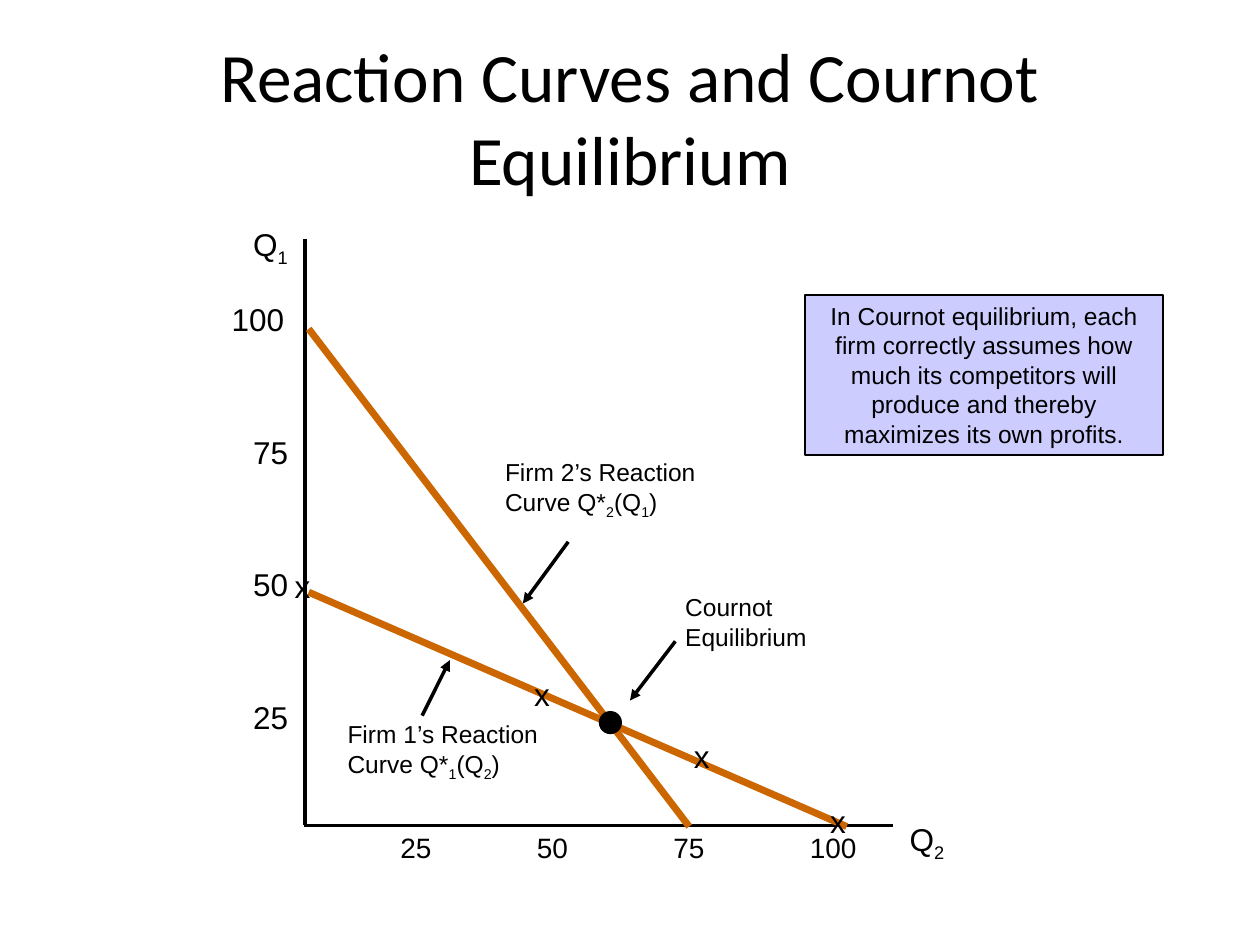
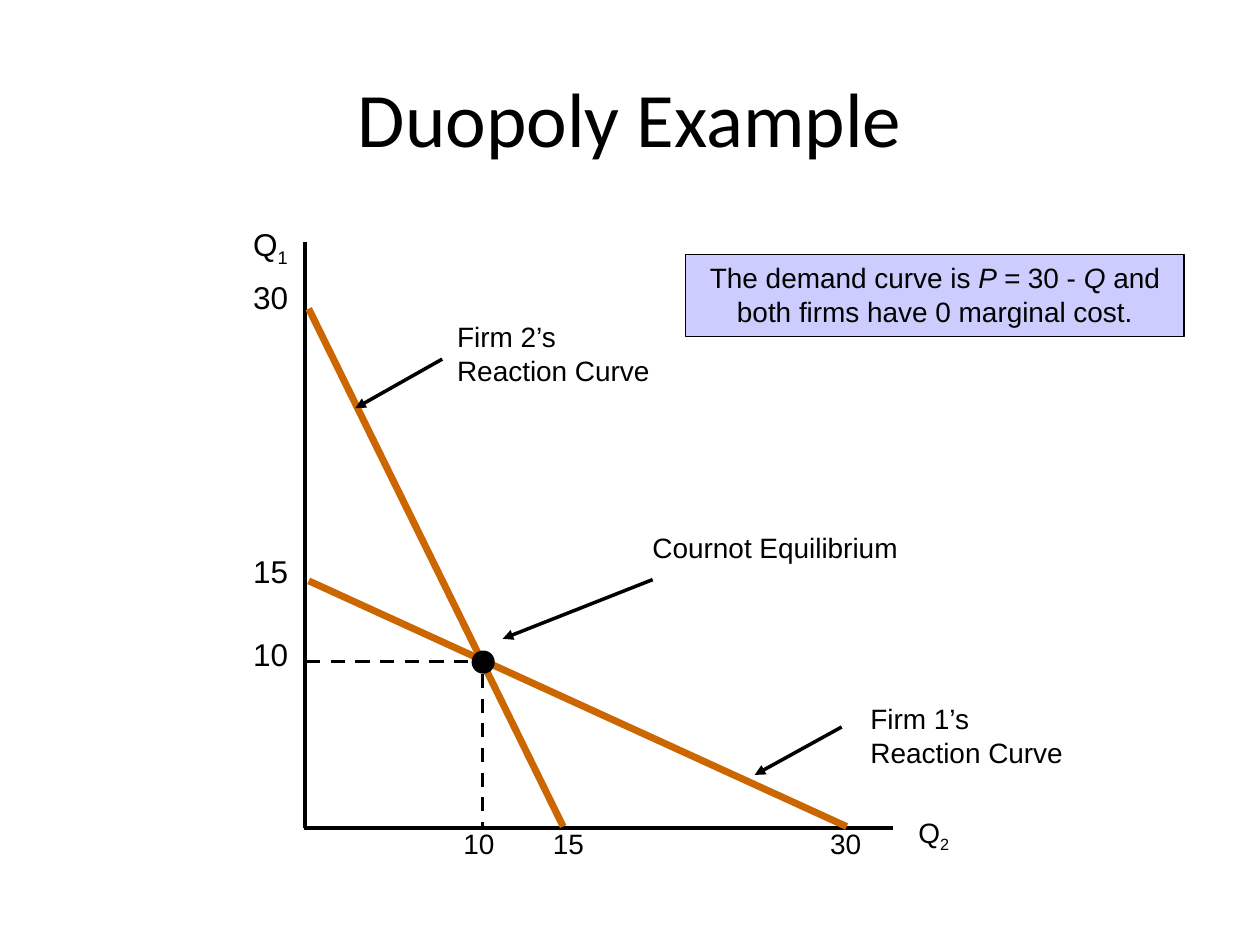
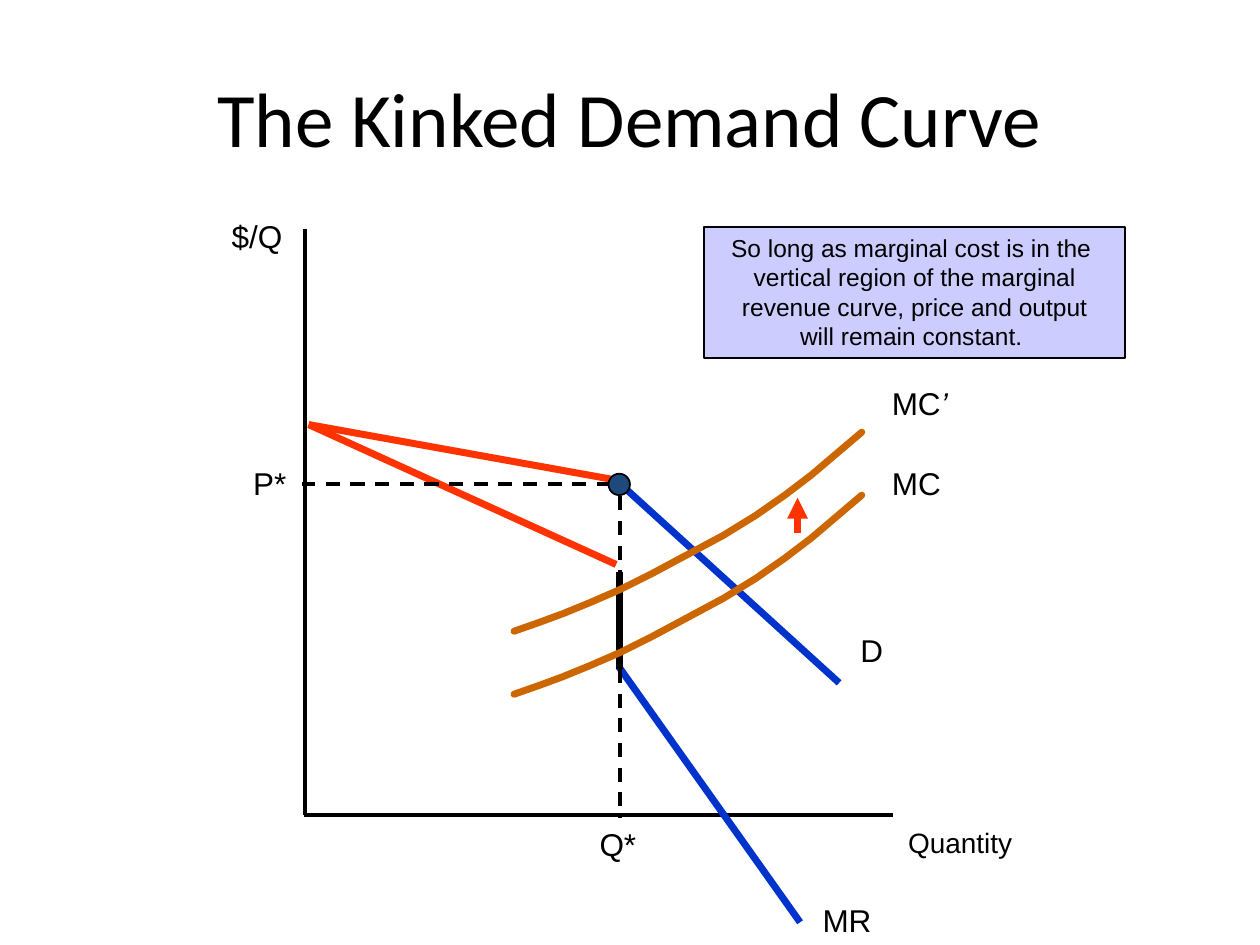
from pptx import Presentation
from pptx.dml.color import RGBColor
from pptx.enum.dml import MSO_LINE
from pptx.enum.shapes import MSO_CONNECTOR, MSO_SHAPE
from pptx.enum.text import MSO_ANCHOR, MSO_AUTO_SIZE, PP_ALIGN
from pptx.oxml.ns import qn
from pptx.util import Inches, Pt
from lxml.etree import SubElement

BLACK = RGBColor(0x00, 0x00, 0x00)
ORANGE = RGBColor(0xCC, 0x66, 0x00)
RED = RGBColor(0xFF, 0x33, 0x00)
BLUE = RGBColor(0x00, 0x33, 0xCC)
NAVY = RGBColor(0x1F, 0x49, 0x7D)
LAVENDER = RGBColor(0xCC, 0xCC, 0xFF)

AXIS_X = 2.42
AXIS_HEIGHT = 4.65
AXIS_END = 7.09
LABEL_LEFT = 1.91
CURVE_START = 2.45
DOT = 0.17

SUB_1, SUB_2 = ("1", "sub"), ("2", "sub")


def write(frame, lines, size, font="Arial", align=PP_ALIGN.LEFT, wrap=False):
    """Fill a text frame; a line is a string or a list of strings and (text, style) runs."""
    frame.word_wrap = wrap
    for i, line in enumerate(lines):
        paragraph = frame.paragraphs[0] if i == 0 else frame.add_paragraph()
        paragraph.alignment = align
        for part in [line] if isinstance(line, str) else line:
            text, style = (part, None) if isinstance(part, str) else part
            run = paragraph.add_run()
            run.text = text
            run.font.name = font
            run.font.size = Pt(size)
            run.font.color.rgb = BLACK
            if style == "italic":
                run.font.italic = True
            elif style == "sub":
                run.font._element.set("baseline", "-25000")


def draw_line(slide, start, end, color=BLACK, width=2, dashed=False, arrow=False):
    line = slide.shapes.add_connector(
        MSO_CONNECTOR.STRAIGHT, *(Inches(v) for v in (*start, *end)))
    line.line.color.rgb = color
    line.line.width = Pt(width)
    if dashed:
        line.line.dash_style = MSO_LINE.DASH
    if arrow:
        SubElement(line.line._get_or_add_ln(), qn("a:tailEnd"), type="triangle")
    SubElement(line._element.spPr, qn("a:effectLst"))


prs = Presentation()
prs.slide_width = Inches(10)
prs.slide_height = Inches(7.5)

# Titles and axes
slides = []
for title, title_size, axis_top in [
    ("Reaction Curves and Cournot Equilibrium", 39.6, 1.9),
    ("Duopoly Example", 44, 1.92),
    ("The Kinked Demand Curve", 44, 1.82),
]:
    slide = prs.slides.add_slide(prs.slide_layouts[6])
    heading = slide.shapes.add_textbox(Inches(0.5), Inches(0.3), Inches(9), Inches(1.25))
    heading.text_frame.vertical_anchor = MSO_ANCHOR.MIDDLE
    write(heading.text_frame, [title], title_size, "Calibri", PP_ALIGN.CENTER, wrap=True)
    base = axis_top + AXIS_HEIGHT
    draw_line(slide, (AXIS_X, axis_top), (AXIS_X, base))
    draw_line(slide, (AXIS_X - 0.01, base), (AXIS_END, base))
    slides.append(slide)
reaction, duopoly, kinked = slides

# Curves: slide, start, end, colour
for slide, start, end, color in [
    (reaction, (CURVE_START, 2.61), (5.47, 6.56), ORANGE),
    (reaction, (CURVE_START, 4.7), (6.72, 6.56), ORANGE),
    (duopoly, (CURVE_START, 2.45), (4.47, 6.56), ORANGE),
    (duopoly, (CURVE_START, 4.61), (6.72, 6.56), ORANGE),
    (kinked, (CURVE_START, 3.37), (4.89, 3.81), RED),
    (kinked, (4.89, 3.81), (6.66, 5.42), BLUE),
    (kinked, (CURVE_START, 3.37), (4.89, 4.48), RED),
    (kinked, (4.91, 5.29), (6.35, 7.32), BLUE),
    (kinked, (4.92, 4.54), (4.92, 5.31), BLACK),
]:
    draw_line(slide, start, end, color, width=4)

# Dashed guides to the equilibrium
for slide, start, end in [
    (duopoly, (2.43, 5.25), (3.74, 5.25)),
    (duopoly, (3.83, 5.35), (3.83, 6.57)),
    (kinked, (4.85, 3.84), (2.4, 3.84)),
    (kinked, (4.92, 3.94), (4.92, 6.49)),
]:
    draw_line(slide, start, end, dashed=True)

# Pointers from labels to curves
for slide, start, end in [
    (reaction, (4.51, 4.3), (4.15, 4.79)),
    (reaction, (3.35, 5.68), (3.57, 5.24)),
    (reaction, (5.36, 5.09), (5, 5.56)),
    (duopoly, (3.51, 2.85), (2.82, 3.24)),
    (duopoly, (6.68, 5.77), (5.99, 6.15)),
    (duopoly, (5.18, 4.6), (3.99, 5.07)),
]:
    draw_line(slide, start, end, arrow=True)

# Equilibrium points
for slide, left, top, color in [
    (reaction, 4.76, 5.65, BLACK),
    (duopoly, 3.75, 5.17, BLACK),
    (kinked, 4.83, 3.76, NAVY),
]:
    point = slide.shapes.add_shape(
        MSO_SHAPE.OVAL, Inches(left), Inches(top), Inches(DOT), Inches(DOT))
    point.shadow.inherit = False
    point.fill.solid()
    point.fill.fore_color.rgb = color
    point.line.color.rgb = BLACK
    point.line.width = Pt(1)

# Marginal cost before and after the shift
marginal_cost = [
    (4.08, 5.51), (4.28, 5.44), (4.47, 5.37), (4.69, 5.28), (4.92, 5.18),
    (5.04, 5.12), (5.18, 5.05), (5.46, 4.9), (5.74, 4.75), (6, 4.59),
    (6.23, 4.43), (6.44, 4.27), (6.84, 3.93),
]
for shift in (0, 0.5):
    points = [(Inches(x), Inches(y - shift)) for x, y in marginal_cost]
    builder = kinked.shapes.build_freeform(*points[0])
    builder.add_line_segments(points[1:], close=False)
    curve = builder.convert_to_shape()
    curve.shadow.inherit = False
    curve.fill.background()
    curve.line.color.rgb = ORANGE
    curve.line.width = Pt(4)
    curve.line._get_or_add_ln().set("cap", "rnd")
draw_line(kinked, (6.33, 4.23), (6.33, 3.95), RED, width=4, arrow=True)

# Labels: slide, left, top, width, size, lines
labels = [
    (reaction, 3.91, 3.58, 1.81, 14,
     ["Firm 2’s Reaction", ["Curve Q*", SUB_2, "(Q", SUB_1, ")"]]),
    (reaction, 2.66, 5.66, 1.81, 14,
     ["Firm 1’s Reaction", ["Curve Q*", SUB_1, "(Q", SUB_2, ")"]]),
    (reaction, 5.34, 4.65, 1.27, 14, ["Cournot", "Equilibrium"]),
    (reaction, LABEL_LEFT, 1.74, 0.48, 18, [["Q", SUB_1]]),
    (reaction, 7.12, 6.46, 0.48, 18, [["Q", SUB_2]]),
    (duopoly, LABEL_LEFT, 1.74, 0.48, 18, [["Q", SUB_1]]),
    (duopoly, 7.19, 6.42, 0.46, 16, [["Q", SUB_2]]),
    (duopoly, 3.53, 2.49, 1.83, 16, ["Firm 2’s", "Reaction Curve"]),
    (duopoly, 6.81, 5.52, 1.83, 16, ["Firm 1’s", "Reaction Curve"]),
    (duopoly, 5.08, 4.16, 2.35, 16, ["Cournot Equilibrium"]),
    (kinked, 1.74, 1.67, 0.6, 18, ["$/Q"]),
    (kinked, 7.11, 6.5, 1.1, 16, ["Quantity"]),
    (kinked, LABEL_LEFT, 3.63, 0.48, 18, ["P*"]),
    (kinked, 4.66, 6.5, 0.49, 18, ["Q*"]),
    (kinked, 6.73, 4.96, 0.38, 18, ["D"]),
    (kinked, 6.98, 3.63, 0.59, 18, ["MC"]),
    (kinked, 6.98, 3, 0.66, 18, [["MC", ("’", "italic")]]),
    (kinked, 6.43, 7.1, 0.59, 18, ["MR"]),
]
for step, quantity in enumerate(("25", "50", "75", "100")):
    wide = quantity == "100"
    labels += [
        (reaction, 3.08 + 1.083 * step, 6.54, 0.58 if wide else 0.46, 16, [quantity]),
        (reaction, 1.74 if wide else LABEL_LEFT, 5.49 - 1.053 * step,
         0.63 if wide else 0.48, 18, [quantity]),
    ]
for quantity, left, top in [("10", 3.58, 4.99), ("15", 4.29, 4.33), ("30", 6.49, 2.16)]:
    labels += [
        (duopoly, left, 6.51, 0.46, 16, [quantity]),
        (duopoly, LABEL_LEFT, top, 0.48, 18, [quantity]),
    ]
for left, top in [(2.24, 4.45), (4.14, 5.31), (5.41, 5.8), (6.49, 6.32)]:
    labels.append((reaction, left, top, 0.34, 18, ["x"]))

for slide, left, top, width, size, lines in labels:
    height = 0.1 + len(lines) * size / 60
    label = slide.shapes.add_textbox(
        Inches(left), Inches(top), Inches(width), Inches(height))
    write(label.text_frame, lines, size)
    label.text_frame.auto_size = MSO_AUTO_SIZE.SHAPE_TO_FIT_TEXT

# Callouts
for slide, left, top, width, height, size, lines in [
    (reaction, 6.39, 2.34, 2.84, 1.27, 14, [
        "In Cournot equilibrium, each", "firm correctly assumes how",
        "much its competitors will", "produce and thereby",
        "maximizes its own profits."]),
    (duopoly, 5.44, 2.02, 3.96, 0.65, 16, [
        ["The demand curve is ", ("P = ", "italic"), "30 - ", ("Q ", "italic"), "and"],
        "both firms have 0 marginal cost."]),
    (kinked, 5.59, 1.8, 3.34, 1.04, 14, [
        "So long as marginal cost is in the ", "vertical region of the marginal",
        " revenue curve, price and output ", "will remain constant. "]),
]:
    callout = slide.shapes.add_shape(
        MSO_SHAPE.RECTANGLE, Inches(left), Inches(top), Inches(width), Inches(height))
    callout.shadow.inherit = False
    callout.fill.solid()
    callout.fill.fore_color.rgb = LAVENDER
    callout.line.color.rgb = BLACK
    callout.line.width = Pt(1)
    callout.text_frame.vertical_anchor = MSO_ANCHOR.TOP
    write(callout.text_frame, lines, size, align=PP_ALIGN.CENTER)

prs.save("out.pptx")
